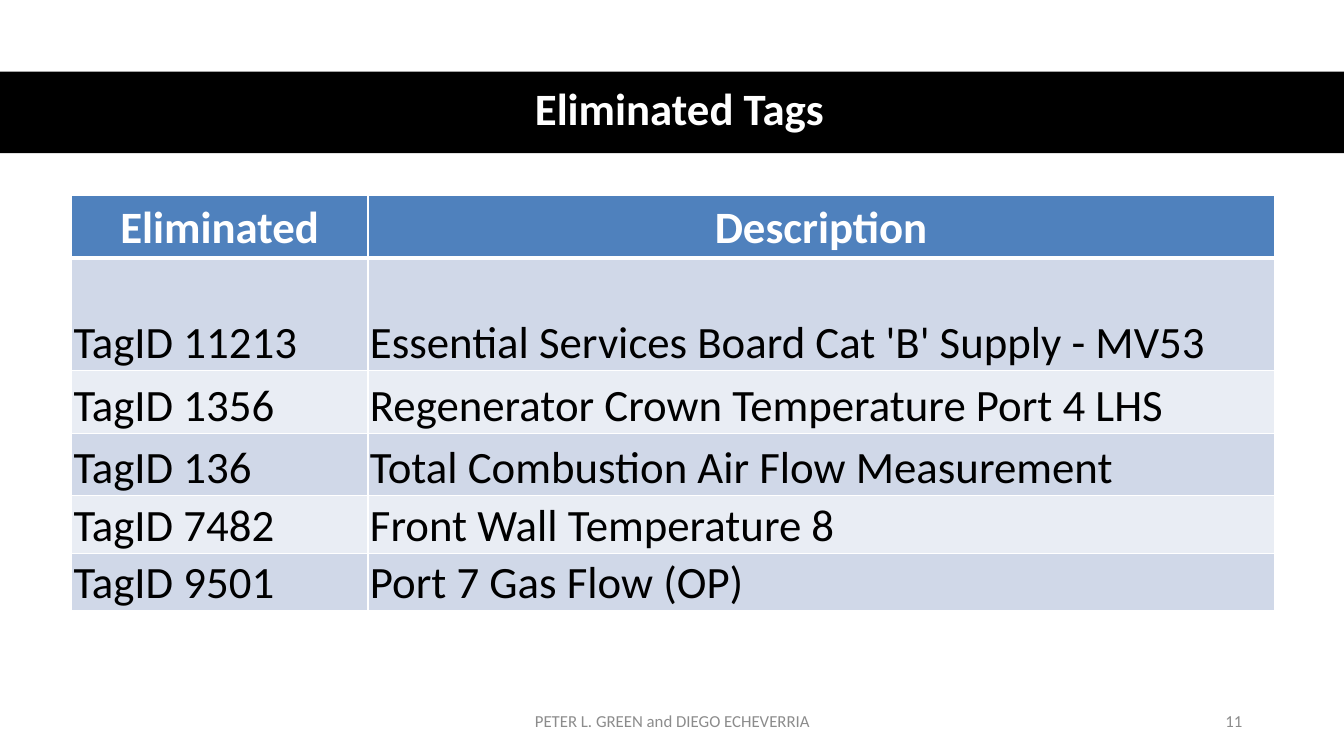
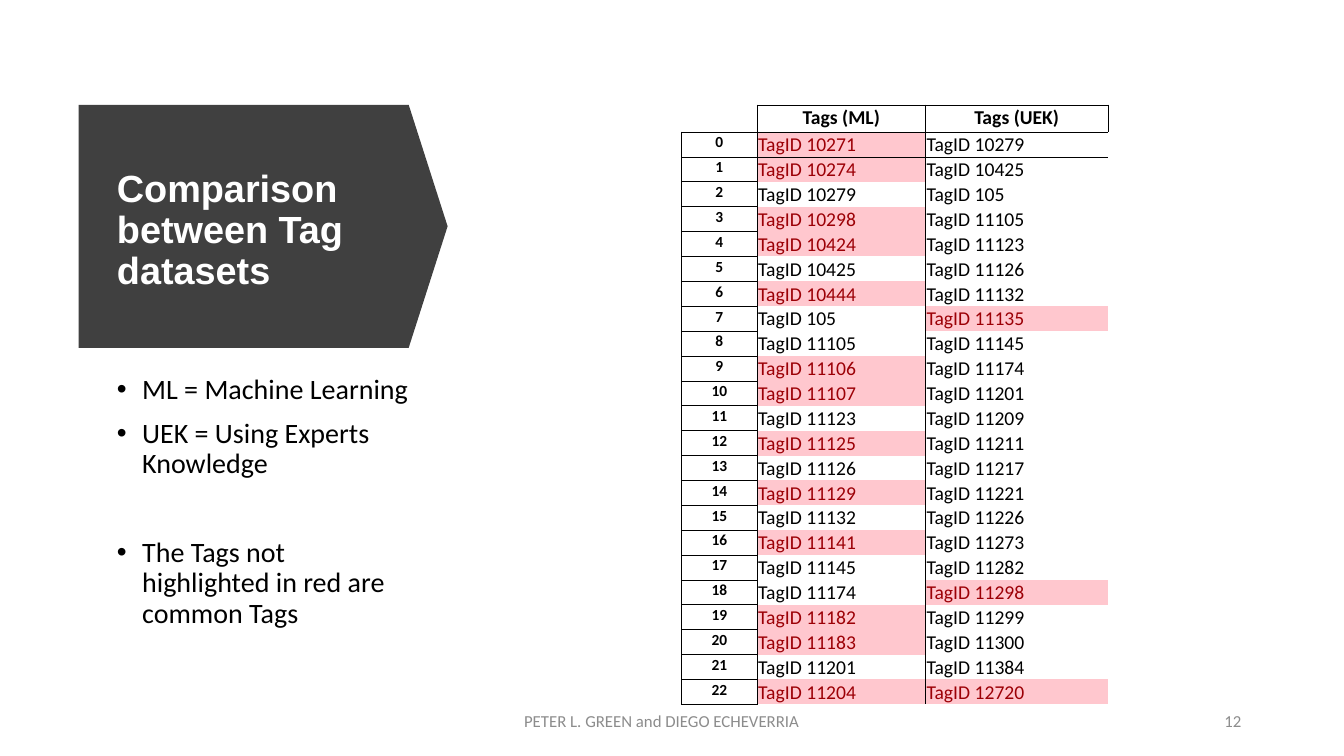
"""Build two slides on eliminated tags and on the comparison of tag datasets."""
from lxml import etree
from pptx import Presentation
from pptx.dml.color import RGBColor
from pptx.enum.shapes import MSO_SHAPE
from pptx.enum.text import MSO_ANCHOR, MSO_AUTO_SIZE, PP_ALIGN
from pptx.oxml.ns import qn
from pptx.util import Emu, Pt

RECT, PENTAGON = MSO_SHAPE.RECTANGLE, MSO_SHAPE.PENTAGON
LEFT, CENTER, RIGHT = PP_ALIGN.LEFT, PP_ALIGN.CENTER, PP_ALIGN.RIGHT
TOP, MIDDLE, BOTTOM = MSO_ANCHOR.TOP, MSO_ANCHOR.MIDDLE, MSO_ANCHOR.BOTTOM
NO_FIT = MSO_AUTO_SIZE.NONE

BLACK = RGBColor(0x00, 0x00, 0x00)
WHITE = RGBColor(0xFF, 0xFF, 0xFF)
CHARCOAL = RGBColor(0x40, 0x40, 0x40)
GREY = RGBColor(0x8C, 0x8C, 0x8C)
BLUE = RGBColor(0x4F, 0x81, 0xBD)
BANDS = (RGBColor(0xD0, 0xD8, 0xE8), RGBColor(0xE9, 0xED, 0xF4))
PINK = RGBColor(0xFF, 0xC7, 0xCE)
RED = RGBColor(0x9C, 0x00, 0x06)

PX = 9144
WIDTH, HEIGHT = 1333, 750
PLAIN_TABLE = "{2D5ABB26-0587-4C30-8999-92F81FD0307C}"
SIDES = "LRTB"

BASE = {"name": "Calibri", "size": Pt(20), "bold": False, "color": BLACK}
TITLE = {**BASE, "size": Pt(32), "bold": True, "color": WHITE}
SIDE_TITLE = {**TITLE, "name": "Arial", "size": Pt(27)}
FOOT = {**BASE, "size": Pt(12), "color": GREY}
LARGE = {**BASE, "size": Pt(32)}
SMALL = {**BASE, "size": Pt(14)}
SMALL_HEAD = {**SMALL, "bold": True}
SMALL_RED = {**SMALL, "color": RED}
INDEX = {**SMALL_HEAD, "size": Pt(11)}

AUTHORS = "PETER L. GREEN and DIEGO ECHEVERRIA"
ELIMINATED = [
    ("Eliminated", "Description"),
    ("TagID 11213", "Essential Services Board Cat 'B' Supply - MV53"),
    ("TagID 1356", "Regenerator Crown Temperature Port 4 LHS"),
    ("TagID 136", "Total Combustion Air Flow Measurement"),
    ("TagID 7482", "Front Wall Temperature 8"),
    ("TagID 9501", "Port 7 Gas Flow (OP)"),
]
ELIMINATED_COLS = (294, 899)
ELIMINATED_ROWS = (62, 112, 62, 62, 57, 57)

NOTES = [
    ("ML = Machine Learning", 10),
    ("UEK = Using Experts Knowledge", 10),
    ("The Tags not highlighted in red are common Tags", 42),
]
ML = [10271, 10274, 10279, 10298, 10424, 10425, 10444, 105, 11105, 11106, 11107, 11123,
      11125, 11126, 11129, 11132, 11141, 11145, 11174, 11182, 11183, 11201, 11204]
UEK = [10279, 10425, 105, 11105, 11123, 11126, 11132, 11135, 11145, 11174, 11201, 11209,
       11211, 11217, 11221, 11226, 11273, 11282, 11298, 11299, 11300, 11384, 12720]
UNMATCHED = set(ML) - set(UEK) | {11135, 11298, 12720}
COMPARISON_COLS = (75, 167, 181)
COMPARISON_ROWS = (27,) + (24,) * len(ML)


def px(*lengths):
    return [Emu(n * PX) for n in lengths]


def write(p, text, fmt, **layout):
    for key, value in layout.items():
        setattr(p, key, value)
    r = p.add_run()
    r.text = text
    for key, value in fmt.items():
        if key == "color":
            r.font.color.rgb = value
        else:
            setattr(r.font, key, value)


def place(sp, box, anchor):
    sp.left, sp.top, sp.width, sp.height = px(*box)
    tf = sp.text_frame
    tf.word_wrap, tf.auto_size, tf.vertical_anchor = True, NO_FIT, anchor
    return tf


def add_title(s, text, box, fmt, alignment, backdrop):
    kind, area, fill = backdrop
    sp = s.shapes.add_shape(kind, *px(*area))
    sp.shadow.inherit = False
    sp.fill.solid()
    sp.fill.fore_color.rgb = fill
    sp.line.fill.background()
    s.shapes._spTree.insert(2, sp._element)
    tf = place(s.shapes.title, box, MIDDLE)
    write(tf.paragraphs[0], text, fmt, alignment=alignment, line_spacing=0.9)
    return sp


def add_footer(s, number, author_box, number_box, alignment):
    for text, box, al in ((AUTHORS, author_box, alignment), (number, number_box, RIGHT)):
        tf = place(s.shapes.add_textbox(*px(*box)), box, MIDDLE)
        write(tf.paragraphs[0], text, FOOT, alignment=al, space_after=Pt(6))


def add_table(s, left, top, cols, rows):
    frame = s.shapes.add_table(len(rows), len(cols), *px(left, top, sum(cols), sum(rows)))
    table = frame.table
    table.first_row = table.horz_banding = False
    table._tbl.tblPr.find(qn("a:tableStyleId")).text = PLAIN_TABLE
    for col, width in zip(table.columns, px(*cols)):
        col.width = width
    for row, height in zip(table.rows, px(*rows)):
        row.height = height
    return table


def format_cell(cell, margin, anchor, borders, color, fill):
    cell.margin_left, cell.margin_right, cell.margin_top, cell.margin_bottom = px(
        margin, margin, margin, 0)
    cell.vertical_anchor = anchor
    tcPr = cell._tc.get_or_add_tcPr()
    for side in SIDES:
        if side in borders:
            ln = etree.SubElement(tcPr, qn(f"a:ln{side}"), w=str(Pt(borders[side])))
            line_fill = etree.SubElement(ln, qn("a:solidFill"))
            etree.SubElement(line_fill, qn("a:srgbClr"), val=str(color))
    if fill is None:
        cell.fill.background()
    else:
        cell.fill.solid()
        cell.fill.fore_color.rgb = fill


def build_eliminated(prs):
    s = prs.slides.add_slide(prs.slide_layouts[5])
    add_title(s, "Eliminated Tags", (61, 70, 1226, 81), TITLE, CENTER,
              (RECT, (0, 71, WIDTH, 81), BLACK))
    table = add_table(s, 71, 194, ELIMINATED_COLS, ELIMINATED_ROWS)
    for i, row in enumerate(ELIMINATED):
        head = i == 0
        borders = {**dict.fromkeys(SIDES, 1), **({0: {"B": 3}, 1: {"T": 3}}.get(i, {}))}
        for j, text in enumerate(row):
            cell = table.cell(i, j)
            format_cell(cell, 2, MIDDLE if head else BOTTOM, borders, WHITE,
                        BLUE if head else BANDS[(i - 1) % 2])
            write(cell.text_frame.paragraphs[0], text, TITLE if head else LARGE,
                  alignment=CENTER if head else LEFT)
    add_footer(s, "11", (442, 695, 450, 40), (942, 695, 300, 40), CENTER)


def comparison_edges(i, j):
    if i == j == 0:
        return "RB"
    if i == 0 or j == 0:
        return SIDES
    return ("L" if j == 1 else "") + ("T" if i == 1 else "")


def build_comparison(prs):
    s = prs.slides.add_slide(prs.slide_layouts[1])
    arrow = add_title(s, "Comparison between Tag datasets", (106, 132, 292, 195), SIDE_TITLE,
                      LEFT, (PENTAGON, (78, 104, 366, 241), CHARCOAL))
    arrow.adjustments[0] = 0.16

    tf = place(s.placeholders[1], (106, 367, 310, 265), TOP)
    for k, (text, gap) in enumerate(NOTES):
        p = tf.add_paragraph() if k else tf.paragraphs[0]
        write(p, text, BASE, line_spacing=0.9, space_before=Pt(gap))
        pPr = p._p.get_or_add_pPr()
        pPr.set("marL", str(25 * PX))
        pPr.set("indent", str(-25 * PX))

    table = add_table(s, 676, 104, COMPARISON_COLS, COMPARISON_ROWS)
    rows = [("", "Tags (ML)", "Tags (UEK)"), *zip(range(len(ML)), ML, UEK)]
    for i, row in enumerate(rows):
        for j, value in enumerate(row):
            cell = table.cell(i, j)
            is_tag = i > 0 and j > 0
            red = is_tag and value in UNMATCHED
            format_cell(cell, 1, BOTTOM if is_tag else TOP,
                        dict.fromkeys(comparison_edges(i, j), 0.5), BLACK,
                        PINK if red else None)
            p = cell.text_frame.paragraphs[0]
            if is_tag:
                write(p, f"TagID {value}", SMALL_RED if red else SMALL, alignment=LEFT)
            elif i or j:
                write(p, str(value), INDEX if i else SMALL_HEAD, alignment=CENTER)
            else:
                p._p.get_or_add_endParaRPr().set("sz", "1400")
    add_footer(s, "12", (510, 695, 597, 40), (1129, 695, 112, 40), LEFT)


def main():
    prs = Presentation()
    prs.slide_width, prs.slide_height = px(WIDTH, HEIGHT)
    build_eliminated(prs)
    build_comparison(prs)
    prs.save("out.pptx")


if __name__ == "__main__":
    main()
